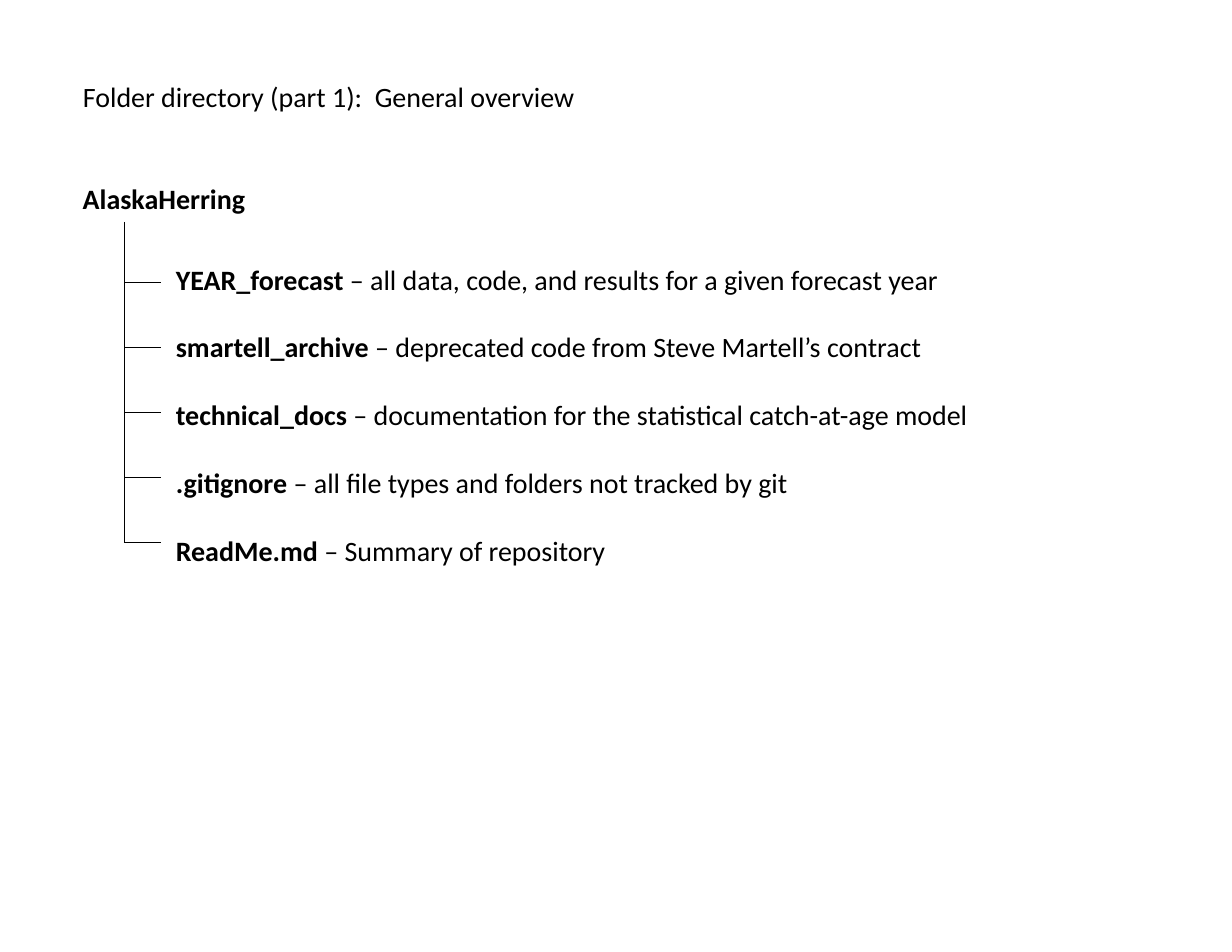
import pptx
import pptx.dml.color
import pptx.enum.shapes
import pptx.enum.text
import pptx.util
import lxml.etree

Inches, Pt = pptx.util.Inches, pptx.util.Pt
COLORS = {"ink": "000000"}
INK = pptx.dml.color.RGBColor.from_string(COLORS["ink"])

# Grid in inches: text margin, tree trunk, branch ends, list column
MARGIN, TRUNK, BRANCH_END, LIST = 0.64, 1.11, 1.44, 1.47
FIRST_BRANCH, BRANCH_STEP = 2.52, 0.58

ENTRIES = [
    ("YEAR_forecast", "all data, code, and results for a given forecast year"),
    ("smartell_archive", "deprecated code from Steve Martell’s contract"),
    ("technical_docs", "documentation for the statistical catch-at-age model"),
    (".gitignore", "all file types and folders not tracked by git"),
    ("ReadMe.md", "Summary of repository"),
]


def set_up(holder, left, top, width, height):
    holder.left, holder.top = Inches(left), Inches(top)
    holder.width, holder.height = Inches(width), Inches(height)
    frame = holder.text_frame
    frame.word_wrap = True
    frame.auto_size = pptx.enum.text.MSO_AUTO_SIZE.NONE
    frame.vertical_anchor = pptx.enum.text.MSO_ANCHOR.TOP
    return frame


def style(paragraph, bold=None):
    paragraph.alignment = pptx.enum.text.PP_ALIGN.LEFT
    paragraph.space_before = Pt(0)
    paragraph.font.name = "Calibri"
    paragraph.font.size = Pt(18)
    paragraph.font.bold = bold
    paragraph.font.color.rgb = INK


deck = pptx.Presentation()
deck.slide_width, deck.slide_height = Inches(11), Inches(8.5)
slide = deck.slides.add_slide(deck.slide_layouts[1])

# Title
heading = set_up(slide.shapes.title, MARGIN, 0.66, 9.34, 0.4)
heading.text = "Folder directory (part 1):  General overview"
style(heading.paragraphs[0])

# Root folder
root = set_up(slide.shapes.add_textbox(0, 0, 0, 0), MARGIN, 1.57, 4.65, 0.4)
root.text = "AlaskaHerring"
style(root.paragraphs[0], bold=True)

# Contents of the root folder
contents = set_up(slide.placeholders[1], LIST, 2.29, 8.51, 3.74)
for index, (entry, description) in enumerate(ENTRIES):
    line = contents.paragraphs[0] if index == 0 else contents.add_paragraph()
    style(line)
    line.space_after = Pt(22)
    properties = line._p.get_or_add_pPr()
    properties.set("marL", "0")
    properties.set("indent", "0")
    bullet_off = lxml.etree.Element(pptx.oxml.ns.qn("a:buNone"))
    properties.insert_element_before(bullet_off, "a:tabLst", "a:defRPr", "a:extLst")
    name = line.add_run()
    name.text = f"{entry} "
    name.font.bold = True
    line.add_run().text = f"– {description}"

# Tree: one trunk and a branch for each entry
branch_rows = [FIRST_BRANCH + i * BRANCH_STEP for i in range(len(ENTRIES))]
segments = [(TRUNK, 1.98, TRUNK, branch_rows[-1])]
segments += [(TRUNK, row, BRANCH_END, row) for row in branch_rows]
tree = slide.shapes.add_group_shape()
for segment in segments:
    limb = tree.shapes.add_connector(
        pptx.enum.shapes.MSO_CONNECTOR.STRAIGHT, *map(Inches, segment))
    limb.line.color.rgb = INK
    limb.line.width = Pt(0.5)
    lxml.etree.SubElement(limb._element.spPr, pptx.oxml.ns.qn("a:effectLst"))

deck.save("out.pptx")
